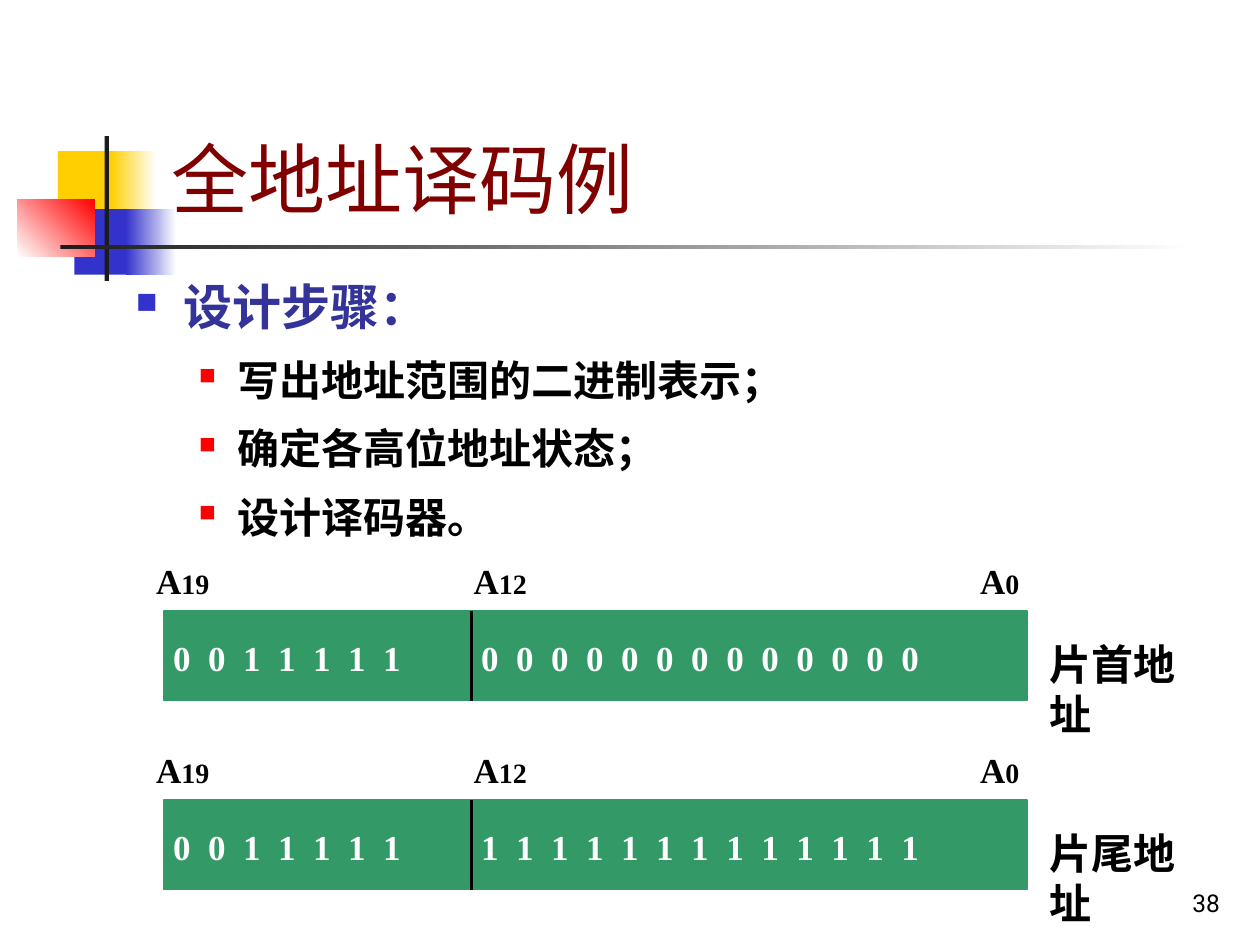
"""Build the slide on full address decoding, laid out on a grid of 100 columns by 75 rows."""

from dataclasses import dataclass
from typing import NamedTuple

from lxml import etree
from pptx import Presentation
from pptx.dml.color import RGBColor
from pptx.enum.shapes import MSO_CONNECTOR, MSO_SHAPE
from pptx.enum.text import MSO_ANCHOR, MSO_AUTO_SIZE, PP_ALIGN
from pptx.oxml.ns import qn
from pptx.util import Inches, Pt

RECTANGLE = MSO_SHAPE.RECTANGLE
STRAIGHT = MSO_CONNECTOR.STRAIGHT
TOP, BOTTOM = MSO_ANCHOR.TOP, MSO_ANCHOR.BOTTOM
LEFT, RIGHT = PP_ALIGN.LEFT, PP_ALIGN.RIGHT
FIT_SHAPE = MSO_AUTO_SIZE.SHAPE_TO_FIT_TEXT

WHITE = RGBColor(0xFF, 0xFF, 0xFF)
BLACK = RGBColor(0x00, 0x00, 0x00)
CHARCOAL = RGBColor(0x1C, 0x1C, 0x1C)
YELLOW = RGBColor(0xFF, 0xCF, 0x01)
BLUE = RGBColor(0x33, 0x33, 0xCC)
RED = RGBColor(0xFF, 0x00, 0x00)
MAROON = RGBColor(0x80, 0x00, 0x00)
INDIGO = RGBColor(0x33, 0x33, 0x99)
GREEN = RGBColor(0x33, 0x99, 0x66)

SANS, SERIF = "Roboto", "Times New Roman"
COLUMNS, ROWS = 100, 75
SLIDE_WIDTH, SLIDE_HEIGHT = Inches(10), Inches(7.5)


class Box(NamedTuple):
    left: float
    top: float
    width: float
    height: float

    def lengths(self) -> tuple[int, ...]:
        cells = (SLIDE_WIDTH / COLUMNS, SLIDE_HEIGHT / ROWS) * 2
        return tuple(round(value * cell) for value, cell in zip(self, cells))


class Style(NamedTuple):
    font: str
    size: float
    color: RGBColor
    bold: bool = False
    space_before: float = 0


@dataclass(frozen=True)
class Block:
    box: Box
    colors: tuple[RGBColor, ...]
    angle: float = 0


@dataclass(frozen=True)
class Bullet:
    text: str
    level: int
    style: Style
    space_after: float
    margin: float
    hanging: float
    color: RGBColor
    percent: int


@dataclass(frozen=True)
class AddressRow:
    top: float
    high_bits: str
    low_bits: str
    caption: str


TITLE = Style(SANS, 44, MAROON)
NUMBER = Style(SANS, 14, BLACK)
HEADING = Style(SANS, 28, INDIGO, True, 7)
STEP = Style(SANS, 24, BLACK, True, 6)
BITS = Style(SERIF, 20, WHITE, True, 12.5)
PIN = Style(SERIF, 20, BLACK, True, 10)
CAPTION = Style(SERIF, 24, BLACK, True, 15)
PIN_INDEX_SIZE = 16

BLOCKS = (
    Block(Box(4.6, 12, 4.8, 5.2), (YELLOW,)),
    Block(Box(8.8, 12, 3.6, 5.2), (YELLOW, WHITE)),
    Block(Box(5.9, 16.6, 4.6, 5.2), (BLUE,)),
    Block(Box(10, 16.6, 4, 5.2), (BLUE, WHITE)),
    Block(Box(1.4, 15.8, 6.1, 4.6), (WHITE, RED), 45),
    Block(Box(8.3, 10.8, 0.35, 11.5), (CHARCOAL,)),
    Block(Box(4.8, 19.45, 90, 0.35), (CHARCOAL, WHITE)),
)

STEPS = ("写出地址范围的二进制表示；", "确定各高位地址状态；", "设计译码器。")
BULLETS = (
    Bullet("设计步骤：", 0, HEADING, 1.8, 0.38, 0.38, BLUE, 60),
    *(Bullet(step, 1, STEP, 1.5, 0.81, 0.31, RED, 55) for step in STEPS),
)

PINS = ((11.4, "19"), (36.6, "12"), (76.8, "0"))
BAR_LEFT, BAR_WIDTH, BAR_HEIGHT = 13, 68.5, 7.1
DIVIDER = 37.4
ADDRESS_ROWS = (
    AddressRow(48.5, "0011111", "0" * 13, "片首地址"),
    AddressRow(63.5, "0011111", "1" * 13, "片尾地址"),
)


def draw_block(slide, block: Block):
    """Draw a rectangle with a solid or two-colour gradient fill."""
    shape = slide.shapes.add_shape(RECTANGLE, *block.box.lengths())
    shape.shadow.inherit = False
    shape.line.fill.background()
    if len(block.colors) == 1:
        shape.fill.solid()
        shape.fill.fore_color.rgb = block.colors[0]
    else:
        shape.fill.gradient()
        shape.fill.gradient_angle = block.angle
        for stop, color in zip(shape.fill.gradient_stops, block.colors):
            stop.color.rgb = color
    return shape


def add_frame(slide, box: Box, anchor=TOP):
    """Add a wrapping text box and return its text frame."""
    frame = slide.shapes.add_textbox(*box.lengths()).text_frame
    frame.word_wrap = True
    frame.vertical_anchor = anchor
    return frame


def apply_style(paragraph, style: Style) -> None:
    """Set the font and leading space of a paragraph."""
    paragraph.space_before = Pt(style.space_before)
    font = paragraph.font
    font.name, font.size, font.bold = style.font, Pt(style.size), style.bold
    font.color.rgb = style.color


def draw_text(slide, box: Box, text: str, style: Style, anchor=TOP, alignment=LEFT):
    """Draw a text box with one paragraph and return its frame."""
    frame = add_frame(slide, box, anchor)
    paragraph = frame.paragraphs[0]
    paragraph.text = text
    paragraph.alignment = alignment
    apply_style(paragraph, style)
    return frame


def draw_bullets(slide, box: Box, bullets: tuple[Bullet, ...]) -> None:
    """Draw a text box with one square-bulleted paragraph per item."""
    frame = add_frame(slide, box)
    for index, bullet in enumerate(bullets):
        paragraph = frame.add_paragraph() if index else frame.paragraphs[0]
        paragraph.text = bullet.text
        paragraph.level = bullet.level
        paragraph.line_spacing = 1.1
        paragraph.space_after = Pt(bullet.space_after)
        properties = paragraph._p.get_or_add_pPr()
        properties.set("marL", str(Inches(bullet.margin)))
        properties.set("indent", str(-Inches(bullet.hanging)))
        color = etree.SubElement(properties, qn("a:buClr"))
        etree.SubElement(color, qn("a:srgbClr"), val=str(bullet.color))
        etree.SubElement(properties, qn("a:buSzPct"), val=str(bullet.percent * 1000))
        etree.SubElement(properties, qn("a:buChar"), char="■")
        apply_style(paragraph, bullet.style)


def draw_divider(slide, top: float) -> None:
    """Draw the line between the high and low address bits."""
    left, start, _, height = Box(DIVIDER, top, 0, BAR_HEIGHT).lengths()
    line = slide.shapes.add_connector(STRAIGHT, left, start, left, start + height)
    line.line.color.rgb = BLACK
    line.line.width = Pt(1.75)
    etree.SubElement(line._element.spPr, qn("a:effectLst"))


def draw_address_row(slide, row: AddressRow) -> None:
    """Draw an address bar with its pin names, bits and caption."""
    bar = draw_block(slide, Block(Box(BAR_LEFT, row.top, BAR_WIDTH, BAR_HEIGHT), (GREEN,)))
    bar.line.color.rgb = GREEN
    bar.line.width = Pt(1)
    draw_divider(slide, row.top)
    for left, index in PINS:
        frame = draw_text(slide, Box(left, row.top - 4.6, 7.9, 4.4), "A", PIN)
        frame.auto_size = FIT_SHAPE
        run = frame.paragraphs[0].add_run()
        run.text = index
        run.font.size = Pt(PIN_INDEX_SIZE)
    for box, text, style in (
        (Box(12.75, row.top + 1.5, 25.2, 4.4), "  ".join(row.high_bits), BITS),
        (Box(37.2, row.top + 1.5, 44.9, 4.4), "  ".join(row.low_bits), BITS),
        (Box(82.3, row.top + 1.65, 12.6, 9), row.caption, CAPTION),
    ):
        draw_text(slide, box, text, style).auto_size = FIT_SHAPE


def main() -> None:
    """Build and save the presentation."""
    presentation = Presentation()
    presentation.slide_width, presentation.slide_height = SLIDE_WIDTH, SLIDE_HEIGHT
    slide = presentation.slides.add_slide(presentation.slide_layouts[6])
    for block in BLOCKS:
        draw_block(slide, block)
    draw_text(slide, Box(77, 68.3, 20.8, 5), "38", NUMBER, BOTTOM, RIGHT)
    draw_text(slide, Box(12.6, 2.3, 85.2, 16), "全地址译码例", TITLE, BOTTOM)
    draw_bullets(slide, Box(9.8, 21, 73.2, 22.5), BULLETS)
    for row in ADDRESS_ROWS:
        draw_address_row(slide, row)
    presentation.save("out.pptx")


if __name__ == "__main__":
    main()
